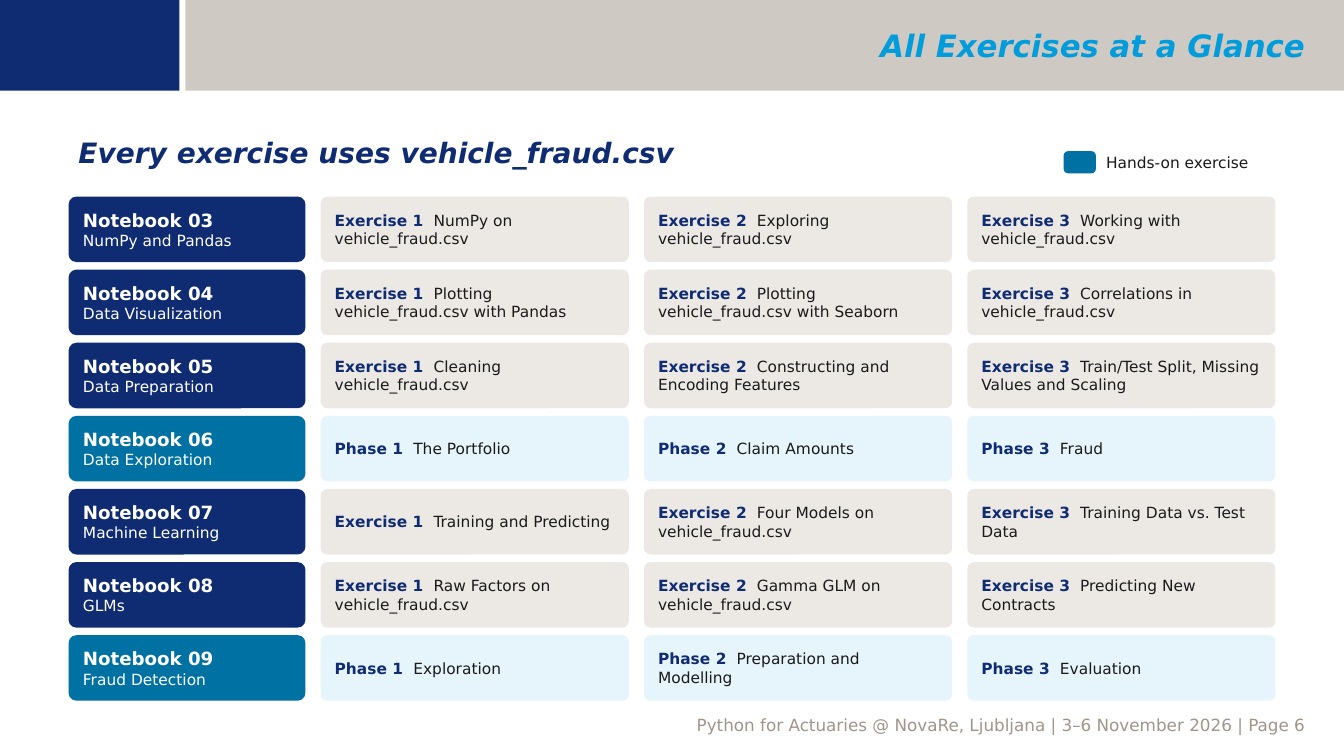
from dataclasses import dataclass

from lxml.etree import SubElement
from pptx import Presentation
from pptx.dml.color import RGBColor
from pptx.enum.shapes import MSO_SHAPE
from pptx.enum.text import MSO_ANCHOR, PP_ALIGN
from pptx.oxml.ns import qn
from pptx.util import Inches, Pt


@dataclass(frozen=True)
class Theme:
    font: str = "DejaVu Sans"
    navy: str = "0F2B72"
    band_navy: str = "0F2C73"
    teal: str = "0071A3"
    sky: str = "009CDB"
    stone: str = "A19589"
    sand: str = "ECE9E5"
    ice: str = "E6F5FB"
    ink: str = "1A1A1A"
    white: str = "FFFFFF"
    title: int = 22
    subtitle: int = 20
    heading: int = 13
    footer: int = 12
    body: int = 11


THEME = Theme()
WIDTH, HEIGHT = 13.33, 7.5
LEFT, SPAN, LABEL_W, GAP_X = 5.1, 89.8, 17.63, 1.13
TOP, ROW_H, PITCH_Y = 26, 8.67, 9.67
CARD_W = (SPAN - LABEL_W) / 3 - GAP_X
TAB_STOPS = {"Exercise": 0.98, "Phase": 0.78}

NOTEBOOKS = [
    ("03", "NumPy and Pandas", "Exercise",
     ["NumPy on vehicle_fraud.csv", "Exploring vehicle_fraud.csv",
      "Working with vehicle_fraud.csv"]),
    ("04", "Data Visualization", "Exercise",
     ["Plotting vehicle_fraud.csv with Pandas",
      "Plotting vehicle_fraud.csv with Seaborn",
      "Correlations in vehicle_fraud.csv"]),
    ("05", "Data Preparation", "Exercise",
     ["Cleaning vehicle_fraud.csv", "Constructing and Encoding Features",
      "Train/Test Split, Missing Values and Scaling"]),
    ("06", "Data Exploration", "Phase",
     ["The Portfolio", "Claim Amounts", "Fraud"]),
    ("07", "Machine Learning", "Exercise",
     ["Training and Predicting", "Four Models on vehicle_fraud.csv",
      "Training Data vs. Test Data"]),
    ("08", "GLMs", "Exercise",
     ["Raw Factors on vehicle_fraud.csv", "Gamma GLM on vehicle_fraud.csv",
      "Predicting New Contracts"]),
    ("09", "Fraud Detection", "Phase",
     ["Exploration", "Preparation and Modelling", "Evaluation"]),
]


def add_run(p, text, size=THEME.body, color=THEME.ink, bold=False, italic=False):
    r = p.add_run()
    r.text = text
    r.font.name = THEME.font
    r.font.size = Pt(size)
    r.font.bold = bold
    r.font.italic = italic
    r.font.color.rgb = RGBColor.from_string(color)


class Deck:
    """Draw styled elements on one slide, with lengths in percent of its size."""

    def __init__(self, theme):
        self.theme = theme
        self.prs = Presentation()
        self.prs.slide_width = Inches(WIDTH)
        self.prs.slide_height = Inches(HEIGHT)
        self.s = self.prs.slides.add_slide(self.prs.slide_layouts[6])

    def area(self, x, y, w, h):
        return [Inches(share * side / 100) for share, side in
                zip((x, y, w, h), (WIDTH, HEIGHT, WIDTH, HEIGHT))]

    def cell(self, col, row):
        x = LEFT if col == 0 else LEFT + LABEL_W + GAP_X + (col - 1) * (CARD_W + GAP_X)
        return x, TOP + row * PITCH_Y, CARD_W if col else LABEL_W, ROW_H

    def block(self, box, color, radius=None, opacity=None):
        kind = MSO_SHAPE.RECTANGLE if radius is None else MSO_SHAPE.ROUNDED_RECTANGLE
        sp = self.s.shapes.add_shape(kind, *self.area(*box))
        sp.shadow.inherit = False
        sp.fill.solid()
        sp.fill.fore_color.rgb = RGBColor.from_string(color)
        sp.line.fill.background()
        if radius is not None:
            sp.adjustments[0] = radius
        if opacity is not None:
            clr = sp.fill._xPr.find(qn("a:solidFill"))[0]
            SubElement(clr, qn("a:alpha")).set("val", str(opacity * 1000))
        return sp

    def text(self, box, text, align=PP_ALIGN.LEFT, anchor=MSO_ANCHOR.TOP,
             inset=None, **fmt):
        tf = self.s.shapes.add_textbox(*self.area(*box)).text_frame
        tf.word_wrap = True
        tf.vertical_anchor = anchor
        if inset is not None:
            self.inset(tf, inset, inset)
        p = tf.paragraphs[0]
        p.alignment = align
        add_run(p, text, **fmt)

    def inset(self, tf, x, y):
        tf.margin_left = tf.margin_right = Inches(x)
        tf.margin_top = tf.margin_bottom = Inches(y)

    def panel(self, box, color, radius):
        tf = self.block(box, color, radius).text_frame
        tf.word_wrap = True
        tf.vertical_anchor = MSO_ANCHOR.MIDDLE
        self.inset(tf, 0.12, 0.05)
        p = tf.paragraphs[0]
        p.alignment = PP_ALIGN.LEFT
        return tf, p

    def notebook(self, row, number, topic, color):
        t = self.theme
        tf, p = self.panel(self.cell(0, row), color, 0.12)
        add_run(p, f"Notebook {number}", size=t.heading, color=t.white, bold=True)
        p = tf.add_paragraph()
        p.alignment = PP_ALIGN.LEFT
        add_run(p, topic, color=t.white)

    def card(self, col, row, kind, task, color):
        _, p = self.panel(self.cell(col, row), color, 0.1)
        tabs = SubElement(p._p.get_or_add_pPr(), qn("a:tabLst"))
        tab = SubElement(tabs, qn("a:tab"))
        tab.set("pos", str(Inches(TAB_STOPS[kind])))
        tab.set("algn", "l")
        add_run(p, f"{kind} {col}\t", color=self.theme.navy, bold=True)
        add_run(p, task)


def main():
    t = THEME
    deck = Deck(t)
    deck.text((5.7, 94, 92.2, 1.2),
              "Python for Actuaries @ NovaRe, Ljubljana | 3–6 November 2026 | Page 6",
              align=PP_ALIGN.RIGHT, size=t.footer, color=t.stone)
    deck.block((13.8, 0, 86.2, 12), t.stone, opacity=50)
    deck.block((0, 0, 13.35, 12), t.band_navy)
    deck.text((15.15, 0.4, 82.67, 11.2), "All Exercises at a Glance",
              align=PP_ALIGN.RIGHT, anchor=MSO_ANCHOR.MIDDLE,
              size=t.title, color=t.sky, bold=True, italic=True)
    deck.text((LEFT, 17.33, SPAN, 5.33), "Every exercise uses vehicle_fraud.csv",
              size=t.subtitle, color=t.navy, bold=True, italic=True)

    for row, (number, topic, kind, tasks) in enumerate(NOTEBOOKS):
        hands_on = kind == "Phase"
        deck.notebook(row, number, topic, t.teal if hands_on else t.navy)
        for col, task in enumerate(tasks, 1):
            deck.card(col, row, kind, task, t.ice if hands_on else t.sand)

    deck.block((79.14, 20, 2.4, 2.93), t.teal, radius=0.2)
    deck.text((82.3, 19.47, 12.6, 4), "Hands-on exercise",
              anchor=MSO_ANCHOR.MIDDLE, inset=0)
    deck.prs.save("out.pptx")


if __name__ == "__main__":
    main()
